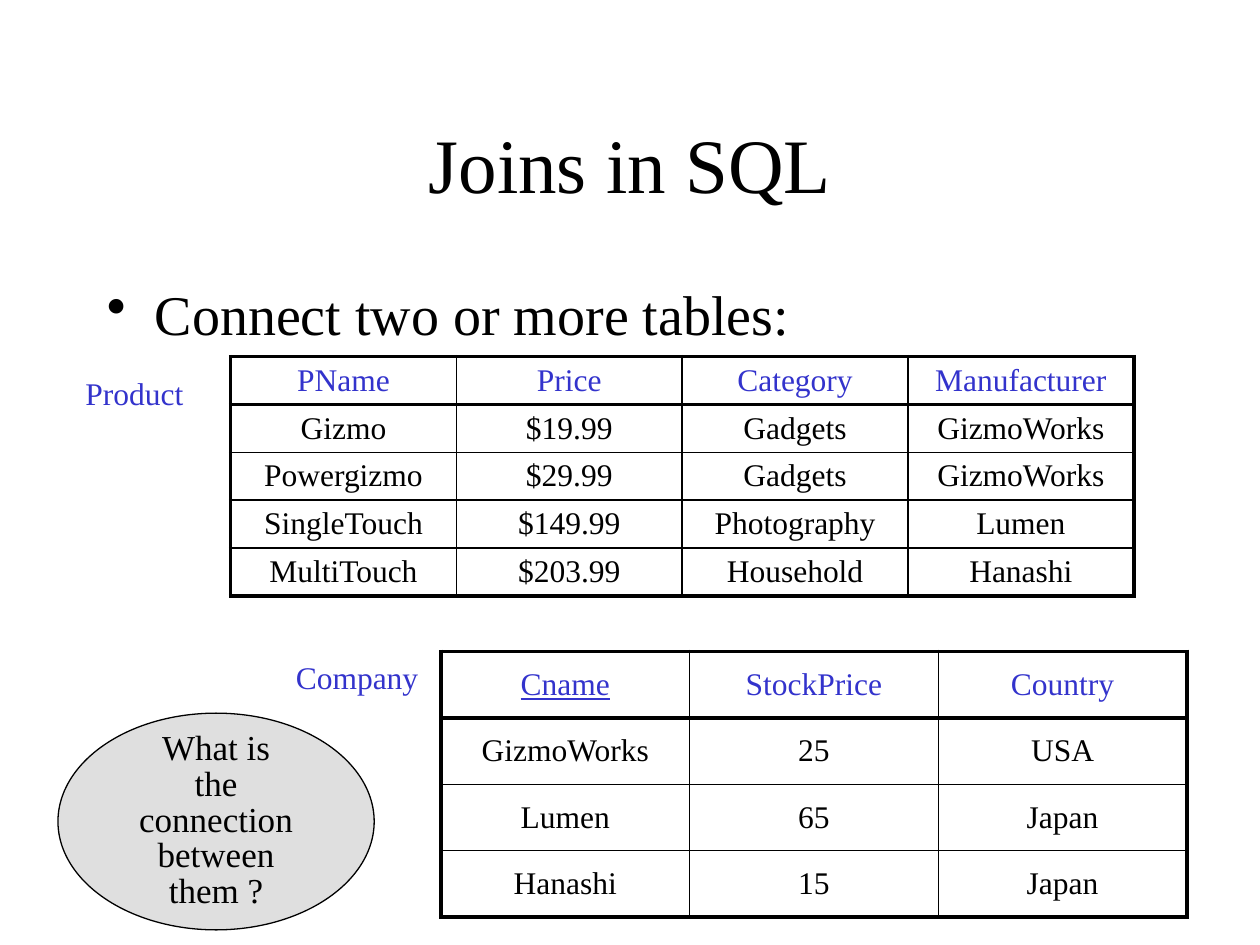
from lxml.etree import SubElement
from pptx import Presentation
from pptx.dml.color import RGBColor
from pptx.enum.shapes import MSO_SHAPE
from pptx.enum.text import MSO_ANCHOR, PP_ALIGN
from pptx.oxml.ns import qn
from pptx.util import Inches, Pt

BLACK = RGBColor(0, 0, 0)
WHITE = RGBColor(255, 255, 255)
BLUE = RGBColor(0x33, 0x33, 0xCC)
GREY = RGBColor(0xC0, 0xC0, 0xC0)
FONT = "Times New Roman"
THICK, THIN = 2.25, 1

PRODUCTS = [
    ["PName", "Price", "Category", "Manufacturer"],
    ["Gizmo", "$19.99", "Gadgets", "GizmoWorks"],
    ["Powergizmo", "$29.99", "Gadgets", "GizmoWorks"],
    ["SingleTouch", "$149.99", "Photography", "Lumen"],
    ["MultiTouch", "$203.99", "Household", "Hanashi"],
]
FIRMS = [
    ["Cname", "StockPrice", "Country"],
    ["GizmoWorks", "25", "USA"],
    ["Lumen", "65", "Japan"],
    ["Hanashi", "15", "Japan"],
]


def write(frame, text, size=18, color=BLACK, align=PP_ALIGN.LEFT,
          anchor=MSO_ANCHOR.TOP, wrap=True, space=None, under=None):
    """Fill a text frame, one paragraph for each line of text."""
    frame.word_wrap = wrap
    frame.vertical_anchor = anchor
    frame.text = text
    for para in frame.paragraphs:
        para.alignment = align
        para.line_spacing = space
        font = para.runs[0].font
        font.name, font.size, font.underline = FONT, Pt(size), under
        font.color.rgb = color


def edge(cell, widths):
    """Draw left, right, top and bottom borders, ahead of the cell fill."""
    props = cell._tc.get_or_add_tcPr()
    for i, (side, width) in enumerate(zip("LRTB", widths)):
        line = props.makeelement(qn("a:ln" + side), {"w": str(Pt(width))})
        fill = SubElement(line, qn("a:solidFill"))
        SubElement(fill, qn("a:srgbClr"), val=str(BLACK))
        props.insert(i, line)


class Deck:
    def __init__(self):
        self.file = Presentation()
        self.file.slide_width, self.file.slide_height = Inches(10), Inches(7.5)
        self.slide = self.file.slides.add_slide(self.file.slide_layouts[5])

    def title(self, text, *box):
        shape = self.slide.shapes.title
        shape.left, shape.top, shape.width, shape.height = map(Inches, box)
        write(shape.text_frame, text, size=44, align=PP_ALIGN.CENTER,
              anchor=MSO_ANCHOR.MIDDLE)

    def label(self, text, *box, **style):
        shape = self.slide.shapes.add_textbox(*map(Inches, box))
        write(shape.text_frame, text, **style)
        return shape

    def bullet(self, text, *box):
        para = self.label(text, *box, size=32).text_frame.paragraphs[0]
        para.space_before = Pt(4)
        props = para._p.get_or_add_pPr()
        props.set("marL", str(Inches(0.38)))
        props.set("indent", str(Inches(-0.38)))
        SubElement(props, qn("a:buChar"), char="•")

    def grid(self, rows, left, top, width, height, fill=None, key=None):
        """Add a table with a heavy frame and header; underline the key."""
        down, across = len(rows), len(rows[0])
        table = self.slide.shapes.add_table(
            down, across, *map(Inches, (left, top, width, height))).table
        table.first_row = table.horz_banding = False
        for r, row in enumerate(rows):
            for c, text in enumerate(row):
                cell = table.cell(r, c)
                cell.margin_top = cell.margin_bottom = Inches(0.04)
                cell.vertical_anchor = MSO_ANCHOR.MIDDLE
                write(cell.text_frame, text, align=PP_ALIGN.CENTER,
                      color=BLACK if r else BLUE,
                      under=True if text == key else None)
                if fill is None:
                    cell.fill.background()
                else:
                    cell.fill.solid()
                    cell.fill.fore_color.rgb = fill
                heavy = (c == 0, c == across - 1, r < 2, r in (0, down - 1))
                edge(cell, [THICK if h else THIN for h in heavy])

    def bubble(self, text, *box):
        shape = self.slide.shapes.add_shape(MSO_SHAPE.OVAL, *map(Inches, box))
        shape.shadow.inherit = False
        shape.fill.solid()
        shape.fill.fore_color.rgb = GREY
        tint = shape._element.spPr.find(qn("a:solidFill"))[0]
        SubElement(tint, qn("a:alpha"), val="50000")
        shape.line.color.rgb = BLACK
        shape.line.width = Pt(0.75)
        write(shape.text_frame, text, size=20, align=PP_ALIGN.CENTER,
              anchor=MSO_ANCHOR.MIDDLE, space=0.85)


def main():
    deck = Deck()
    deck.title("Joins in SQL", 0.75, 0.67, 8.5, 1.25)
    deck.bullet("Connect two or more tables:", 0.75, 2.17, 8.5, 4.5)
    deck.grid(PRODUCTS, 1.83, 2.83, 7.17, 1.88)
    deck.label("Product", 0.58, 2.92, 0.98, 0.4, color=BLUE, wrap=False)
    deck.label("Company", 2.25, 5.17, 1.17, 0.4, color=BLUE, wrap=False)
    deck.grid(FIRMS, 3.5, 5.17, 5.92, 2.11, fill=WHITE, key="Cname")
    deck.bubble("What is\nthe connection\nbetween\nthem ?",
                0.46, 5.66, 2.51, 1.72)
    deck.file.save("out.pptx")


if __name__ == "__main__":
    main()
